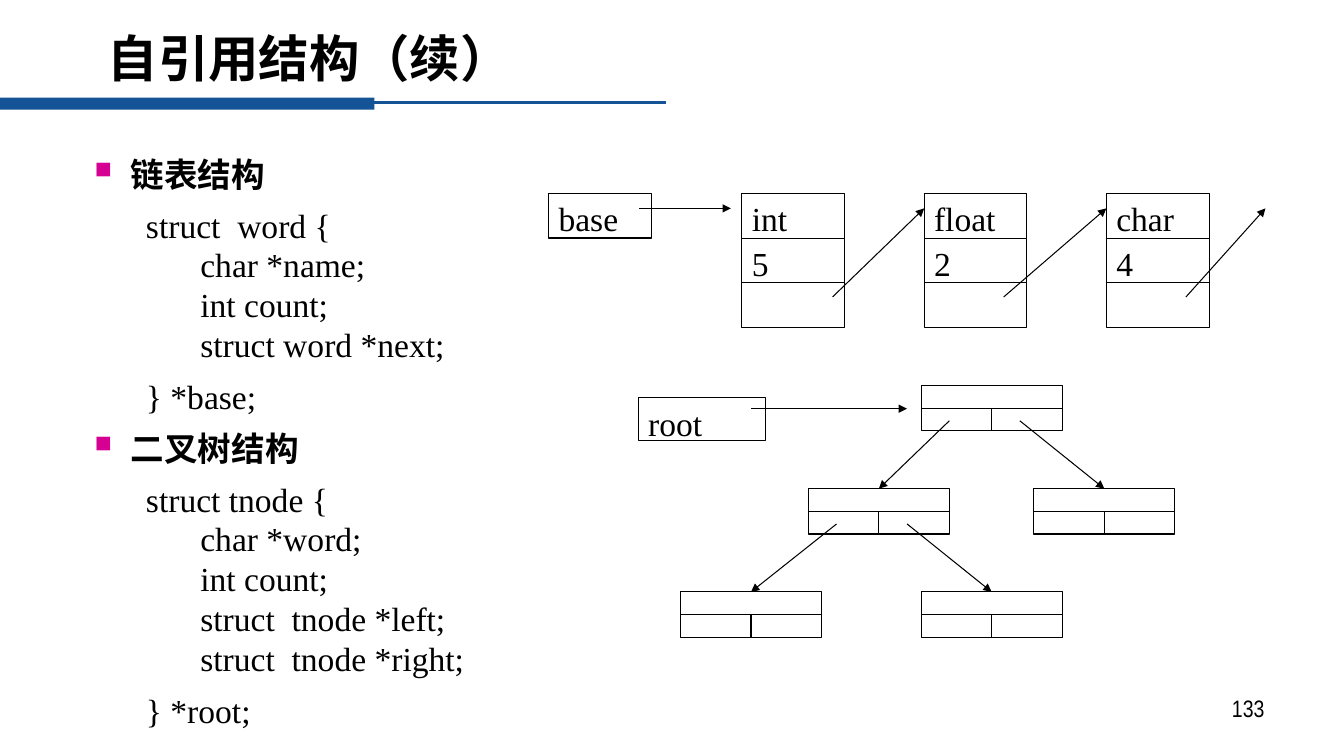
from lxml.etree import SubElement
from pptx import Presentation
from pptx.dml.color import RGBColor
from pptx.enum.shapes import MSO_CONNECTOR as Conn, MSO_SHAPE as Shape
from pptx.enum.text import MSO_ANCHOR as Anchor, PP_ALIGN as Align
from pptx.oxml.ns import qn
from pptx.util import Inches, Pt

BLACK = RGBColor(0, 0, 0)
WHITE = RGBColor(255, 255, 255)
BLUE = RGBColor(0x14, 0x53, 0x96)
PINK = "D60093"
SERIF = "Times New Roman"
SANS = "Arial Narrow"

TITLE = "自引用结构（续）"
PAGE = "133"
# (level, text): 0 heading, 1 brace line, 2 member
BODY = [
    (0, "链表结构"),
    (1, "struct  word {"),
    (2, "char *name;"),
    (2, "int count;"),
    (2, "struct word *next;"),
    (1, "} *base;"),
    (0, "二叉树结构"),
    (1, "struct tnode {"),
    (2, "char *word;"),
    (2, "int count;"),
    (2, "struct  tnode *left;"),
    (2, "struct  tnode *right;"),
    (1, "} *root;"),
]
# level: (left margin, first indent, line spacing, points before)
LEVELS = {0: (0.36, -0.36, 0.7, 16.5), 1: (0.51, 0, 0.7, 16.5), 2: (1.05, 0, 0.8, 5.5)}

LIST = [("int", "5"), ("float", "2"), ("char", "4")]
LIST_X, LIST_Y, STEP = 7.37, 1.92, 1.81
CELL_W, CELL_H = 1.02, 0.445
NEXT = [(8.27, 9.18), (9.97, 10.99), (11.78, 12.57)]  # arrow start and end x

# name: (left, depth, left child, right child)
TREE = {
    "top": (9.15, 0, "left", "right"),
    "left": (8.03, 1, "low left", "low right"),
    "right": (10.27, 1, None, None),
    "low left": (6.76, 2, None, None),
    "low right": (9.15, 2, None, None),
}
TREE_Y, DROP = 3.83, 1.025
NODE_W, NODE_H = 1.4, 0.45

deck = Presentation()
deck.slide_width, deck.slide_height = Inches(13.35), Inches(7.5)
slide = deck.slides.add_slide(deck.slide_layouts[6])
shapes = slide.shapes


def inch(*nums):
    return [Inches(n) for n in nums]


def rect(x, y, w, h, fill=WHITE, edge=BLACK):
    box = shapes.add_shape(Shape.RECTANGLE, *inch(x, y, w, h))
    box.shadow.inherit = False
    box.fill.solid()
    box.fill.fore_color.rgb = fill
    box.line.color.rgb = edge
    box.line.width = Pt(0.75)
    return box


def line(x1, y1, x2, y2, color=BLACK, width=0.75, arrow=False):
    link = shapes.add_connector(Conn.STRAIGHT, *inch(x1, y1, x2, y2))
    link.line.color.rgb = color
    link.line.width = Pt(width)
    props = link._element.spPr
    if arrow:
        SubElement(props.find(qn("a:ln")), qn("a:tailEnd"), type="triangle")
    SubElement(props, qn("a:effectLst"))
    return link


def style(para, size=24, name=SERIF, bold=False):
    font = para.font
    font.size, font.name, font.bold = Pt(size), name, bold
    font.color.rgb = BLACK


def label(box, text):
    frame = box.text_frame
    frame.word_wrap = True
    frame.vertical_anchor = Anchor.TOP
    para = frame.paragraphs[0]
    para.text = text
    para.alignment = Align.JUSTIFY
    style(para)


def frame_at(x, y, w, h):
    """Add a wrapping text box with wide margins and return its frame."""
    frame = shapes.add_textbox(*inch(x, y, w, h)).text_frame
    frame.word_wrap = True
    frame.margin_left = frame.margin_right = Inches(0.12)
    frame.margin_top = frame.margin_bottom = Inches(0.06)
    return frame


def bullet(para):
    props = para._p.get_or_add_pPr()
    color = SubElement(props, qn("a:buClr"))
    SubElement(color, qn("a:srgbClr"), val=PINK)
    SubElement(props, qn("a:buSzPct"), val="70000")
    SubElement(props, qn("a:buChar"), char="■")


def draw_text():
    rect(0, 0.97, 3.72, 0.12, BLUE).line.fill.background()
    line(3.68, 1.02, 6.62, 1.02, BLUE, 2.25)

    page = frame_at(9.57, 6.83, 3.11, 0.52).paragraphs[0]
    page.text = PAGE
    page.alignment = Align.RIGHT
    style(page, 17, SANS)

    frame = frame_at(0.95, 0.17, 11.95, 0.92)
    frame.vertical_anchor = Anchor.MIDDLE
    head = frame.paragraphs[0]
    head.text = TITLE
    head.line_spacing = 0.8
    style(head, 36, SANS, True)

    frame = frame_at(0.82, 1.58, 11.52, 4.98)
    for i, (level, text) in enumerate(BODY):
        para = frame.add_paragraph() if i else frame.paragraphs[0]
        para.text = text
        left, first, space, before = LEVELS[level]
        para.line_spacing = space
        para.space_before = Pt(before if i else 0)
        props = para._p.get_or_add_pPr()
        props.set("marL", str(Inches(left)))
        props.set("indent", str(Inches(first)))
        style(para, bold=level == 0)
        if level == 0:
            bullet(para)


def draw_list():
    label(rect(5.45, LIST_Y, CELL_W, CELL_H), "base")
    for i, words in enumerate(LIST):
        x = LIST_X + i * STEP
        rect(x, LIST_Y, CELL_W, 3 * CELL_H)
        for row, word in enumerate(words):
            y = LIST_Y + row * CELL_H
            line(x, y + CELL_H, x + CELL_W, y + CELL_H)
            label(shapes.add_textbox(*inch(x, y, CELL_W, CELL_H)), word)
    line(6.35, 2.07, 7.26, 2.07, arrow=True)
    for start, end in NEXT:
        line(start, 2.95, end, 2.07, arrow=True)


def draw_tree():
    label(rect(6.34, 3.95, 1.26, 0.43), "root")
    nodes = {}
    for name, (x, depth, *_) in TREE.items():
        y = TREE_Y + depth * DROP
        mid = y + NODE_H / 2
        node = nodes[name] = rect(x, y, NODE_W, NODE_H)
        bar = line(x, mid, x + NODE_W, mid)
        bar.begin_connect(node, 1)
        bar.end_connect(node, 3)
        split = line(x + NODE_W / 2, mid, x + NODE_W / 2, y + NODE_H)
        split.end_connect(node, 2)
    for x, depth, *kids in TREE.values():
        y = TREE_Y + depth * DROP + 0.35
        for kid, part in zip(kids, (0.2, 0.7)):
            if kid:
                end = TREE[kid][0] + NODE_W / 2
                link = line(x + part * NODE_W, y, end, y + 0.68, arrow=True)
                link.end_connect(nodes[kid], 0)
    line(7.46, 4.06, 9.01, 4.06, arrow=True)


draw_text()
draw_list()
draw_tree()
deck.save("out.pptx")
